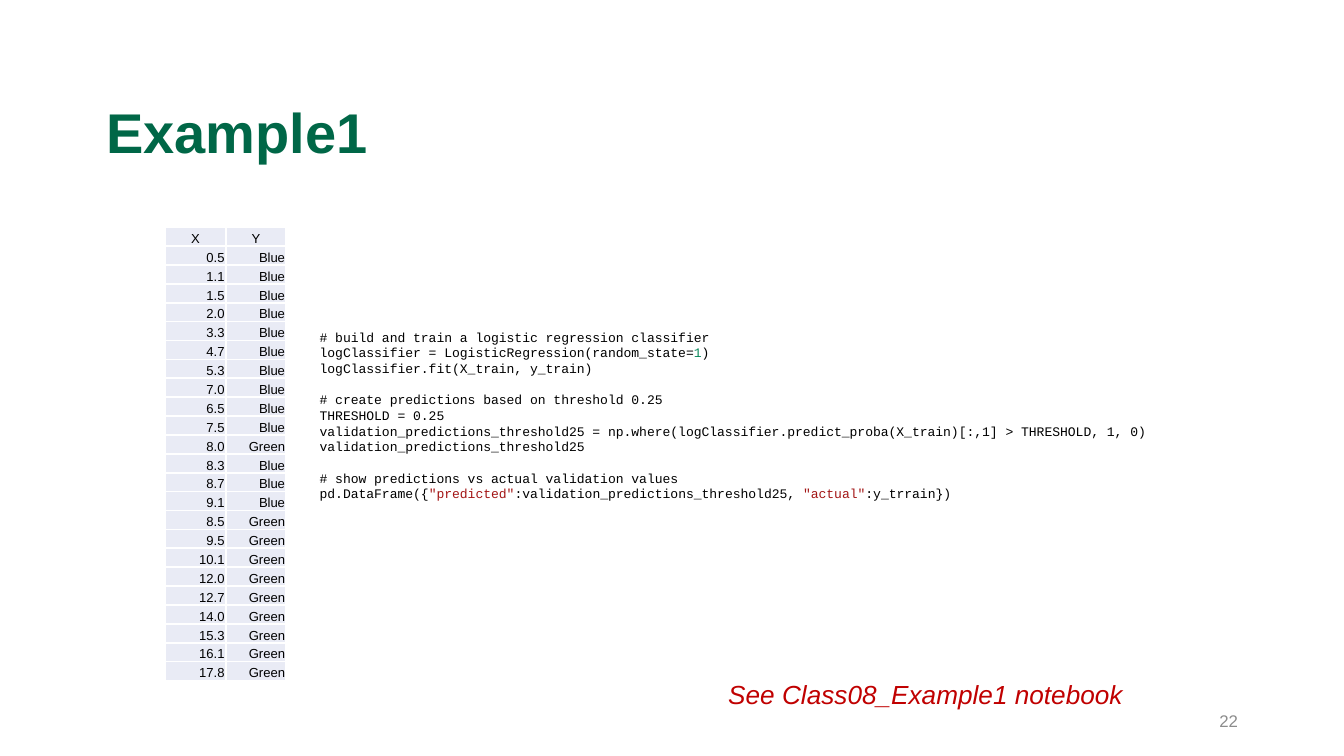
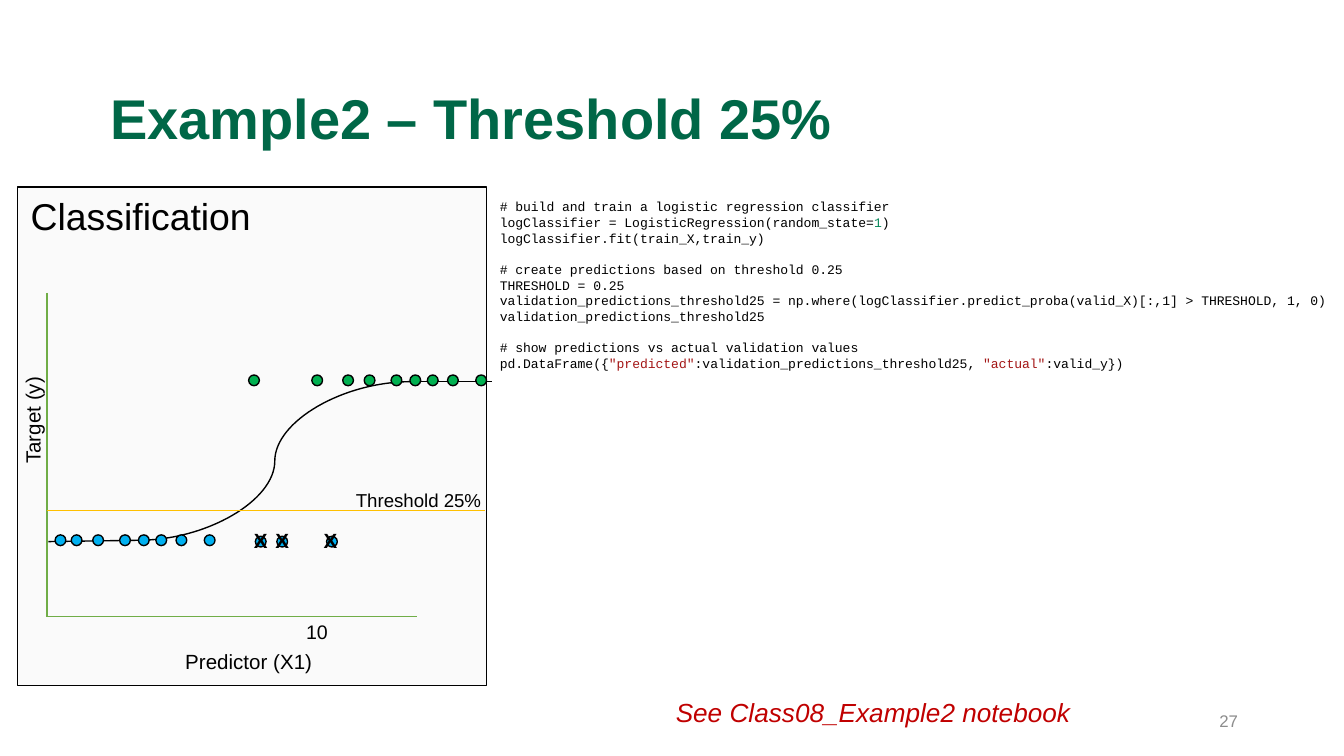
import pptx
import pptx.util
import pptx.dml.color
import pptx.enum.shapes
import pptx.enum.text
import pptx.oxml.ns
import lxml.etree

Inches = pptx.util.Inches
Pt = pptx.util.Pt
RGBColor = pptx.dml.color.RGBColor
ALIGN = pptx.enum.text.PP_ALIGN
ANCHOR = pptx.enum.text.MSO_ANCHOR
SHAPE = pptx.enum.shapes.MSO_SHAPE
LINE = pptx.enum.shapes.MSO_CONNECTOR
qn = pptx.oxml.ns.qn

BLACK = RGBColor(0x00, 0x00, 0x00)
TITLE_GREEN = RGBColor(0x00, 0x67, 0x47)
PAGE_GREY = RGBColor(0x8C, 0x8C, 0x8C)
NOTE_RED = RGBColor(0xC0, 0x00, 0x00)
NUMBER_GREEN = RGBColor(0x09, 0x88, 0x5A)
STRING_RED = RGBColor(0xA3, 0x15, 0x15)
CELL = RGBColor(0xE9, 0xEB, 0xF5)
PANEL = RGBColor(0xFA, 0xFA, 0xFA)
AXIS = RGBColor(0x70, 0xAD, 0x47)
THRESHOLD = RGBColor(0xFF, 0xC0, 0x00)
GREEN_DOT = RGBColor(0x00, 0xB0, 0x50)
BLUE_DOT = RGBColor(0x00, 0xB0, 0xF0)


def write(tf, text, size=11, font="Arial", color=BLACK, bold=False, italic=False,
          align=ALIGN.LEFT, anchor=ANCHOR.TOP, wrap=False, spacing=None, gaps=()):
    tf.word_wrap = wrap
    tf.vertical_anchor = anchor
    paragraphs = [[text]] if isinstance(text, str) else text
    for i, runs in enumerate(paragraphs):
        p = tf.add_paragraph() if i else tf.paragraphs[0]
        p.alignment = align
        p.line_spacing = spacing
        if i in gaps:
            p.space_before = Pt(8.4)
        for run in runs:
            content, tint = (run, color) if isinstance(run, str) else run
            r = p.add_run()
            r.text = content
            r.font.name = font
            r.font.size = Pt(size)
            r.font.bold = bold
            r.font.italic = italic
            r.font.color.rgb = tint


def connect(s, x1, y1, x2, y2, color=BLACK, width=0.75, kind=LINE.STRAIGHT):
    sp = s.shapes.add_connector(kind, Inches(x1), Inches(y1), Inches(x2), Inches(y2))
    sp.line.color.rgb = color
    sp.line.width = Pt(width)
    lxml.etree.SubElement(sp._element.spPr, qn("a:effectLst"))


prs = pptx.Presentation()
prs.slide_width = Inches(10)
prs.slide_height = prs.slide_width * 9 // 16

pages = [
    ("Example1", (0.69, 0.63), "22",
     "See Class08_Example1 notebook", (5.32, 5, 3.15, 0.34), False,
     (2.28, 2.4, 6.52, 1.62), "X_train, y_train", "X_train", "y_trrain"),
    ("Example2 – Threshold 25%", (0.72, 0.52), "27",
     "See Class08_Example2 notebook", (4.93, 5.13, 5.07, 0.34), True,
     (3.62, 1.43, 6.52, 1.51), "train_X,train_y", "valid_X", "valid_y"),
]
slides = []
for title, (left, top), number, note, note_box, note_wrap, code_box, fit, x_name, y_name in pages:
    s = prs.slides.add_slide(prs.slide_layouts[5])
    slides.append(s)
    sp = s.shapes.title
    sp.left, sp.top, sp.width, sp.height = [Inches(v) for v in (left, top, 8.62, 0.76)]
    write(sp.text_frame, title, size=30, color=TITLE_GREEN, bold=True,
          anchor=ANCHOR.MIDDLE, wrap=True, spacing=0.9)
    sp.text_frame.auto_size = pptx.enum.text.MSO_AUTO_SIZE.NONE

    sp = s.shapes.add_textbox(Inches(7.06), Inches(5.21), Inches(2.25), Inches(0.3))
    write(sp.text_frame, number, size=9, color=PAGE_GREY, align=ALIGN.RIGHT,
          anchor=ANCHOR.MIDDLE, wrap=True)

    sp = s.shapes.add_textbox(*[Inches(v) for v in note_box])
    write(sp.text_frame, note, size=14, color=NOTE_RED, italic=True, wrap=note_wrap)

    code = [
        ["# build and train a logistic regression classifier"],
        ["logClassifier = LogisticRegression(random_state=", ("1", NUMBER_GREEN), ")"],
        [f"logClassifier.fit({fit})"],
        ["# create predictions based on threshold 0.25"],
        ["THRESHOLD = 0.25"],
        ["validation_predictions_threshold25 = "
         f"np.where(logClassifier.predict_proba({x_name})[:,1] > THRESHOLD, 1, 0)"],
        ["validation_predictions_threshold25"],
        ["# show predictions vs actual validation values"],
        ["pd.DataFrame({", ('"predicted"', STRING_RED),
         ":validation_predictions_threshold25, ", ('"actual"', STRING_RED),
         f":{y_name}}})"],
    ]
    sp = s.shapes.add_textbox(*[Inches(v) for v in code_box])
    write(sp.text_frame, code, size=7, font="Courier New", gaps=(3, 7))

s = slides[0]
xs = ("0.5 1.1 1.5 2.0 3.3 4.7 5.3 7.0 6.5 7.5 8.0 8.3 "
      "8.7 9.1 8.5 9.5 10.1 12.0 12.7 14.0 15.3 16.1 17.8").split()
ys = ["Blue"] * 10 + ["Green"] + ["Blue"] * 3 + ["Green"] * 9
rows = [("X", "Y")] + list(zip(xs, ys))
table = s.shapes.add_table(len(rows), 2, Inches(1.23), Inches(1.69),
                           Inches(0.9), Inches(3.38)).table
table.first_row = False
table.horz_banding = False
for i, row in enumerate(rows):
    for j, value in enumerate(row):
        cell = table.cell(i, j)
        cell.margin_left = cell.margin_right = cell.margin_top = Inches(0.01)
        cell.margin_bottom = 0
        write(cell.text_frame, value, size=7, wrap=True,
              align=ALIGN.RIGHT if i else ALIGN.CENTER)
        cell.vertical_anchor = ANCHOR.BOTTOM
        tcPr = cell._tc.get_or_add_tcPr()
        for side in ("a:lnL", "a:lnR", "a:lnT", "a:lnB"):
            ln = lxml.etree.SubElement(tcPr, qn(side), w="12700")
            fill = lxml.etree.SubElement(ln, qn("a:solidFill"))
            lxml.etree.SubElement(fill, qn("a:srgbClr"), val="FFFFFF")
        cell.fill.solid()
        cell.fill.fore_color.rgb = CELL

s = slides[1]
sp = s.shapes.add_shape(SHAPE.RECTANGLE, Inches(0.13), Inches(1.39), Inches(3.49), Inches(3.71))
sp.shadow.inherit = False
sp.fill.solid()
sp.fill.fore_color.rgb = PANEL
sp.line.color.rgb = BLACK
sp.line.width = Pt(0.75)
write(sp.text_frame, "Classification", size=20, wrap=True)
s.shapes._spTree.insert(2, sp._element)

connect(s, 0.36, 4.03, 1.05, 4.02)
connect(s, 0.35, 2.18, 0.35, 4.59, color=AXIS)
connect(s, 3.1, 4.59, 0.35, 4.59, color=AXIS, width=0.5)
connect(s, 1.03, 4.02, 3.06, 2.84, kind=LINE.CURVE)
connect(s, 3.06, 2.84, 3.66, 2.84)

dots = [
    (GREEN_DOT, 2.79, (2.32, 2.55, 2.91, 2.71, 3.05, 3.18, 3.54, 3.33, 1.85)),
    (BLUE_DOT, 3.98, (0.41, 0.53, 0.89, 0.69, 1.03, 1.16, 1.52, 1.31)),
    (BLUE_DOT, 3.99, (1.9, 2.06, 2.43)),
]
for color, top, lefts in dots:
    for left in lefts:
        sp = s.shapes.add_shape(SHAPE.OVAL, Inches(left), Inches(top), Inches(0.08), Inches(0.08))
        sp.shadow.inherit = False
        sp.fill.solid()
        sp.fill.fore_color.rgb = color
        sp.line.color.rgb = BLACK
        sp.line.width = Pt(0.75)

connect(s, 0.35, 3.8, 3.61, 3.8, color=THRESHOLD)

labels = [
    ("Predictor (X1)", 1.28, 4.78, 1.15, 0.29, 11, False, 0),
    ("Target (y)", -0.19, 2.97, 0.87, 0.29, 11, False, 270),
    ("10", 2.18, 4.56, 0.98, 0.29, 10.5, False, 0),
    ("Threshold 25%", 2.55, 3.59, 1.14, 0.27, 10, False, 0),
]
labels += [("X", left, 3.88, 0.31, 0.29, 11, True, 0) for left in (1.95, 2.31, 1.79)]
for text, left, top, width, height, size, bold, rotation in labels:
    sp = s.shapes.add_textbox(Inches(left), Inches(top), Inches(width), Inches(height))
    sp.rotation = rotation
    write(sp.text_frame, text, size=size, bold=bold, wrap=text == "10")

prs.save("out.pptx")
